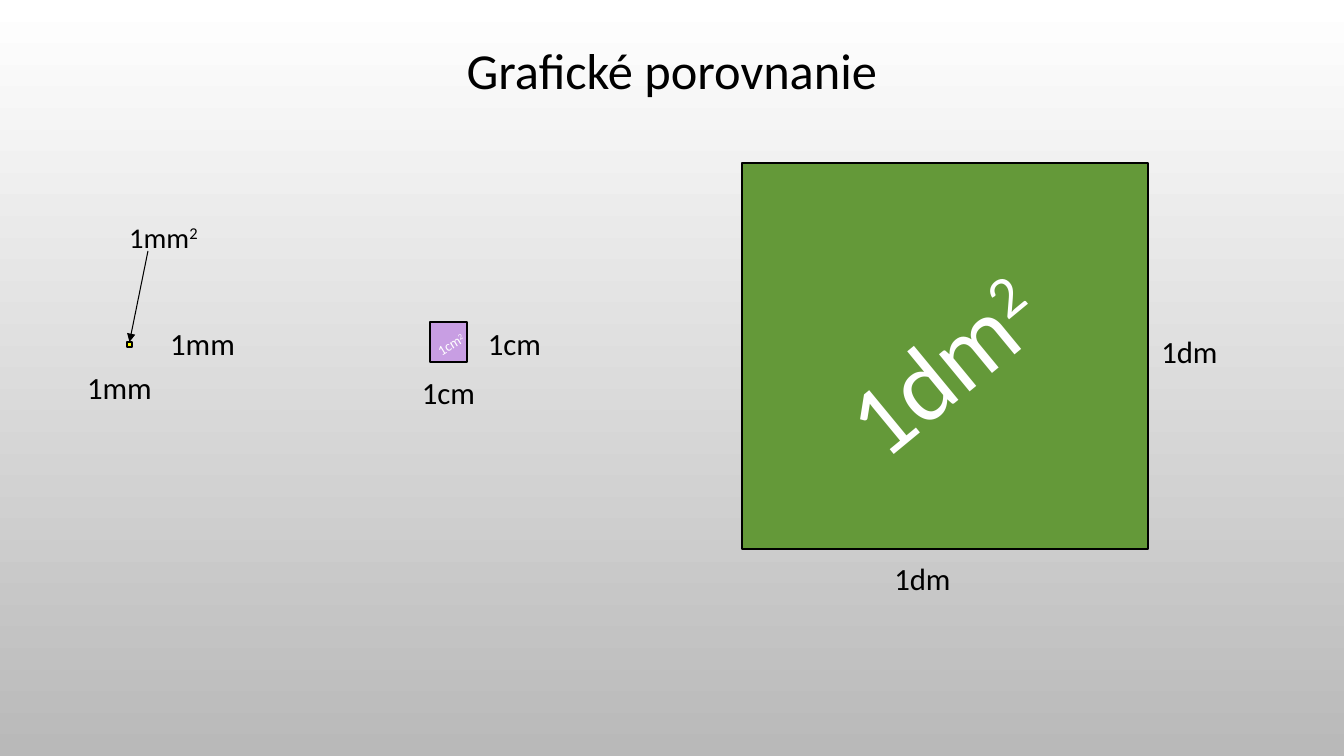
from pptx import Presentation
from pptx.dml.color import RGBColor
from pptx.enum.shapes import MSO_CONNECTOR as CONNECTOR, MSO_SHAPE as SHAPE
from pptx.enum.text import MSO_ANCHOR as ANCHOR, PP_ALIGN as ALIGN
from pptx.util import Pt
from lxml import etree
from pptx.oxml.ns import qn

PX = 914400 / 100.8
COLORS = {
    "black": "000000", "white": "FFFFFF", "grey": "B9B9B9",
    "yellow": "FFFF00", "violet": "C89EE3", "green": "649939",
}


def px(*lengths):
    return [round(length * PX) for length in lengths]


def add_text(text, at, size=22, color="black", power="", spacing=0.9,
             rotation=0, anchor=ANCHOR.TOP):
    box = page.shapes.add_textbox(*px(*at))
    box.rotation = rotation
    frame = box.text_frame
    frame.word_wrap = True
    frame.vertical_anchor = anchor
    para = frame.paragraphs[0]
    para.alignment = ALIGN.CENTER
    para.line_spacing = spacing
    for part in filter(None, (text, power)):
        span = para.add_run()
        span.text = part
        span.font.name = "Calibri"
        span.font.size = Pt(size)
        span.font.color.rgb = RGBColor.from_string(COLORS[color])
        if part == power:
            span.font._element.set("baseline", "30000")


deck = Presentation()
deck.slide_width, deck.slide_height = px(1344, 756)
page = deck.slides.add_slide(deck.slide_layouts[6])

# Background fading downwards
backdrop = page.background.fill
backdrop.gradient()
backdrop.gradient_angle = 270
for stop, position, color in zip(backdrop.gradient_stops, (0, 1), ("white", "grey")):
    stop.position = position
    stop.color.rgb = RGBColor.from_string(COLORS[color])

# Unit squares
squares = {}
for unit, color, at in (
    ("mm", "yellow", (127, 342, 5, 5)),
    ("cm", "violet", (430, 322, 37, 40)),
    ("dm", "green", (742, 163, 406, 386)),
):
    square = page.shapes.add_shape(SHAPE.RECTANGLE, *px(*at))
    square.shadow.inherit = False
    square.fill.solid()
    square.fill.fore_color.rgb = RGBColor.from_string(COLORS[color])
    square.line.color.rgb = RGBColor.from_string(COLORS["black"])
    square.line.width = Pt(1.25)
    squares[unit] = square

# Side lengths: right of and below each square
for unit, right, below in (
    ("mm", (139, 324), (56, 368)),
    ("cm", (451, 324), (385, 373)),
    ("dm", (1126, 332), (859, 559)),
):
    for corner in (right, below):
        add_text("1" + unit, (*corner, 127, 49))

# Areas
add_text("1dm", (790, 318, 318, 109), size=72, color="white", power="2",
         spacing=0.8, rotation=320.4)
add_text("1cm", (406, 332, 95, 33), size=10, color="white", power="2",
         rotation=328.8)
add_text("1mm", (90, 224, 147, 36), size=20.4, power="2", spacing=0.7)

# Arrow from the area label to the smallest square
arrow = page.shapes.add_connector(CONNECTOR.STRAIGHT, *px(148, 251, 129, 342))
arrow.end_connect(squares["mm"], 0)
arrow.line.color.rgb = RGBColor.from_string(COLORS["black"])
arrow.line.width = Pt(0.75)
etree.SubElement(arrow.line._get_or_add_ln(), qn("a:tailEnd"), type="triangle")
etree.SubElement(arrow._element.spPr, qn("a:effectLst"))

# Title
add_text("Grafické porovnanie", (92, 0, 1160, 146), size=36, anchor=ANCHOR.MIDDLE)

deck.save("out.pptx")
